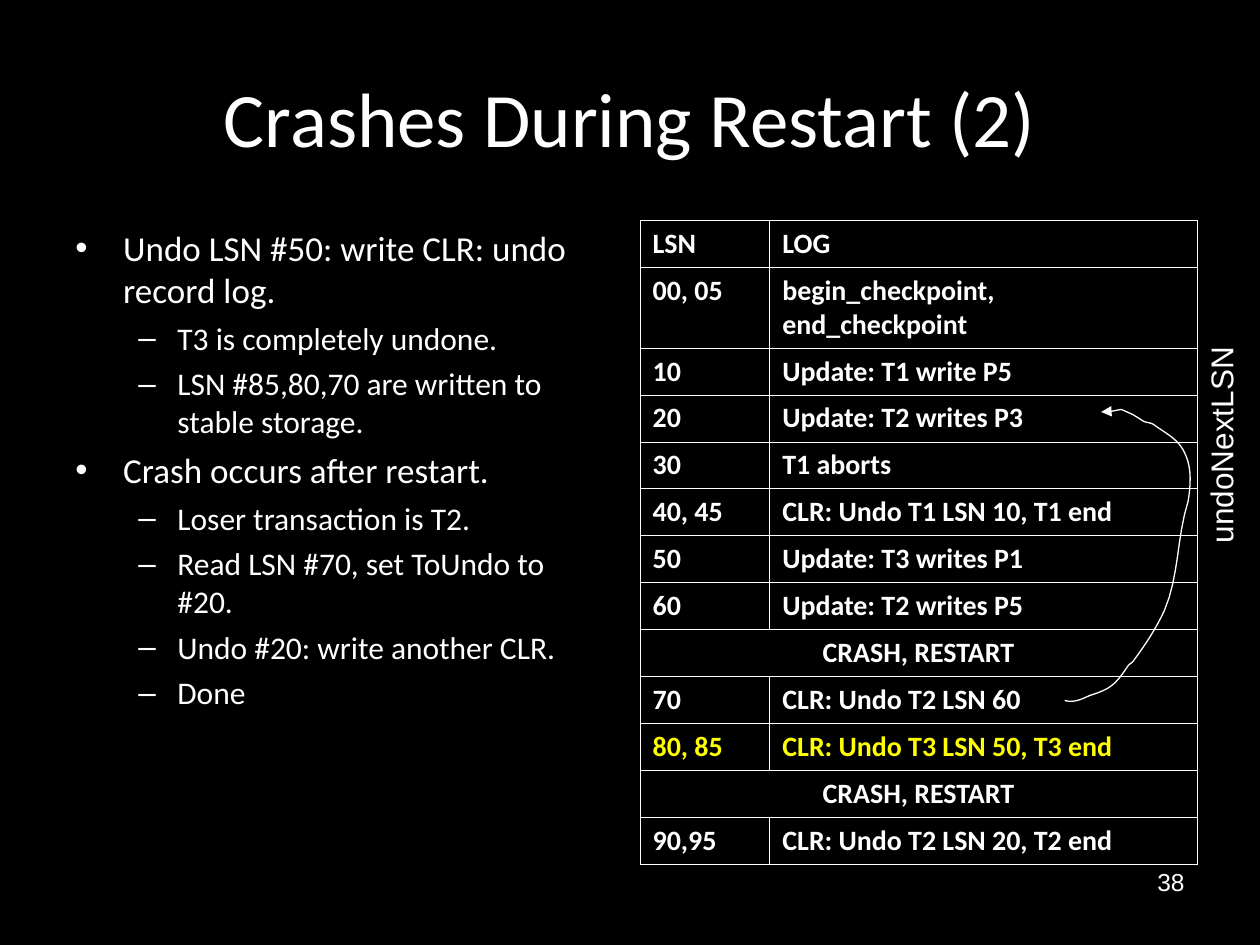
from lxml import etree
from pptx import Presentation
from pptx.dml import color
from pptx.enum import text
from pptx.oxml import ns
from pptx.util import Inches, Pt

HUES = {"back": "000000", "ink": "FFFFFF", "mark": "FFFF00"}
ALIGN = text.PP_ALIGN


def rgb(name):
    return color.RGBColor.from_string(HUES[name])


def write(frame, lines, face, size, hue="ink", bold=False, align=ALIGN.LEFT):
    """Put lines in a frame; a line is a string or (level, string) for a bullet."""
    for i, line in enumerate(lines):
        para = frame.paragraphs[0] if i == 0 else frame.add_paragraph()
        level, words = line if isinstance(line, tuple) else (None, line)
        points = size
        if level is not None:
            left, hang, mark, points, gap = LEVELS[level]
            para.level = level
            if i:
                para.space_before = Pt(gap)
            props = para._p.get_or_add_pPr()
            props.set("marL", str(Inches(left)))
            props.set("indent", str(-Inches(hang)))
            tint = etree.SubElement(props, ns.qn("a:buClr"))
            etree.SubElement(tint, ns.qn("a:srgbClr"), val=HUES["ink"])
            etree.SubElement(props, ns.qn("a:buFont"), typeface="Arial")
            etree.SubElement(props, ns.qn("a:buChar"), char=mark)
        para.alignment = align
        run = para.add_run()
        run.text = words
        style = {"name": face, "size": Pt(points), "bold": bold}
        for key, val in style.items():
            setattr(run.font, key, val)
        run.font.color.rgb = rgb(hue)


# left, hanging indent, bullet, size, space before
LEVELS = [(0.38, 0.38, "•", 20, 5), (0.81, 0.31, "–", 18, 4.5)]

deck = Presentation()
deck.slide_width, deck.slide_height = Inches(10), Inches(7.5)
slide = deck.slides.add_slide(deck.slide_layouts[6])
slide.background.fill.solid()
slide.background.fill.fore_color.rgb = rgb("back")

# Text boxes
points = [
    (0, "Undo LSN #50: write CLR: undo record log."),
    (1, "T3 is completely undone."),
    (1, "LSN #85,80,70 are written to stable storage."),
    (0, "Crash occurs after restart."),
    (1, "Loser transaction is T2."),
    (1, "Read LSN #70, set ToUndo to #20."),
    (1, "Undo #20: write another CLR."),
    (1, "Done"),
]
top, mid = text.MSO_ANCHOR.TOP, text.MSO_ANCHOR.MIDDLE
boxes = [
    ((7.17, 6.83, 2.33, 0.52), ["38"], "Arial", 14, ALIGN.RIGHT, top, 0),
    ((0.5, 0.3, 9, 1.25), ["Crashes During Restart (2)"], "Calibri", 44,
     ALIGN.CENTER, mid, 0),
    ((0.5, 1.75, 4.3, 4.95), points, "Calibri", 20, ALIGN.LEFT, top, 0),
    ((8.74, 3.26, 1.9, 0.4), ["undoNextLSN"], "Arial", 18, ALIGN.LEFT, top, 270),
]
for place, lines, face, size, align, anchor, turn in boxes:
    box = slide.shapes.add_textbox(*map(Inches, place))
    box.rotation = turn
    frame = box.text_frame
    frame.word_wrap = True
    frame.vertical_anchor = anchor
    write(frame, lines, face, size, align=align)

# Log table; a row with one entry spans both columns
rows = [
    ("LSN", "LOG"),
    ("00, 05", "begin_checkpoint, end_checkpoint"),
    ("10", "Update: T1 write P5"),
    ("20", "Update: T2 writes P3"),
    ("30", "T1 aborts"),
    ("40, 45", "CLR: Undo T1 LSN 10, T1 end"),
    ("50", "Update: T3 writes P1"),
    ("60", "Update: T2 writes P5"),
    ("CRASH, RESTART",),
    ("70", "CLR: Undo T2 LSN 60"),
    ("80, 85", "CLR: Undo T3 LSN 50, T3 end"),
    ("CRASH, RESTART",),
    ("90,95", "CLR: Undo T2 LSN 20, T2 end"),
]
high, tall = 5.11, 0.64
short = (high - tall) / (len(rows) - 1)
table = slide.shapes.add_table(
    len(rows), 2, Inches(5.08), Inches(1.75), Inches(4.42), Inches(high)).table
table.first_row = table.horz_banding = False
for col, width in zip(table.columns, (1.03, 3.39)):
    col.width = Inches(width)
for r, row in enumerate(rows):
    table.rows[r].height = Inches(tall if r == 1 else short)
    whole = len(row) == 1
    if whole:
        table.cell(r, 0).merge(table.cell(r, 1))
    for c in range(2):
        cell = table.cell(r, c)
        props = cell._tc.get_or_add_tcPr()
        for side in ("lnL", "lnR", "lnT", "lnB"):
            edge = etree.SubElement(props, ns.qn("a:" + side), w=str(Pt(0.45)))
            fill = etree.SubElement(edge, ns.qn("a:solidFill"))
            etree.SubElement(fill, ns.qn("a:srgbClr"), val=HUES["ink"])
        cell.fill.solid()
        cell.fill.fore_color.rgb = rgb("back")
        if c < len(row):
            write(cell.text_frame, [row[c]], "Calibri", 16,
                  "mark" if row[0] == "80, 85" else "ink", True,
                  ALIGN.CENTER if whole else ALIGN.LEFT)

# Curved arrow from LSN 70 to LSN 20: Bezier pieces as (control, control, end)
start = (8.45, 5.56)
curves = [
    ((8.53, 5.58), (8.58, 5.55), (8.65, 5.52)),
    ((8.81, 5.47), (8.85, 5.44), (8.95, 5.29)),
    ((8.96, 5.27), (8.99, 5.26), (9, 5.24)),
    ((9.09, 5.12), (9.18, 4.98), (9.24, 4.85)),
    ((9.36, 4.57), (9.34, 4.26), (9.43, 3.98)),
    ((9.45, 3.86), (9.46, 3.72), (9.41, 3.61)),
    ((9.36, 3.49), (9.27, 3.45), (9.17, 3.38)),
    ((9.14, 3.35), (9.1, 3.36), (9.07, 3.34)),
    ((8.96, 3.27), (9.01, 3.3), (8.9, 3.25)),
    ((8.78, 3.27), (8.83, 3.27), (8.74, 3.27)),
]
STEPS = 8
trail, last = [], start
for one, two, end in curves:
    for n in range(1, STEPS + 1):
        t = n / STEPS
        parts = ((1 - t) ** 3, 3 * t * (1 - t) ** 2, 3 * t * t * (1 - t), t ** 3)
        trail.append(tuple(
            Inches(sum(k * spot[axis] for k, spot in zip(parts, (last, one, two, end))))
            for axis in (0, 1)))
    last = end
pen = slide.shapes.build_freeform(*map(Inches, start))
pen.add_line_segments(trail, close=False)
arrow = pen.convert_to_shape()
arrow.shadow.inherit = False
arrow.fill.background()
arrow.line.color.rgb = rgb("ink")
arrow.line.width = Pt(0.75)
etree.SubElement(arrow.line._get_or_add_ln(), ns.qn("a:tailEnd"), type="triangle")

deck.save("out.pptx")
